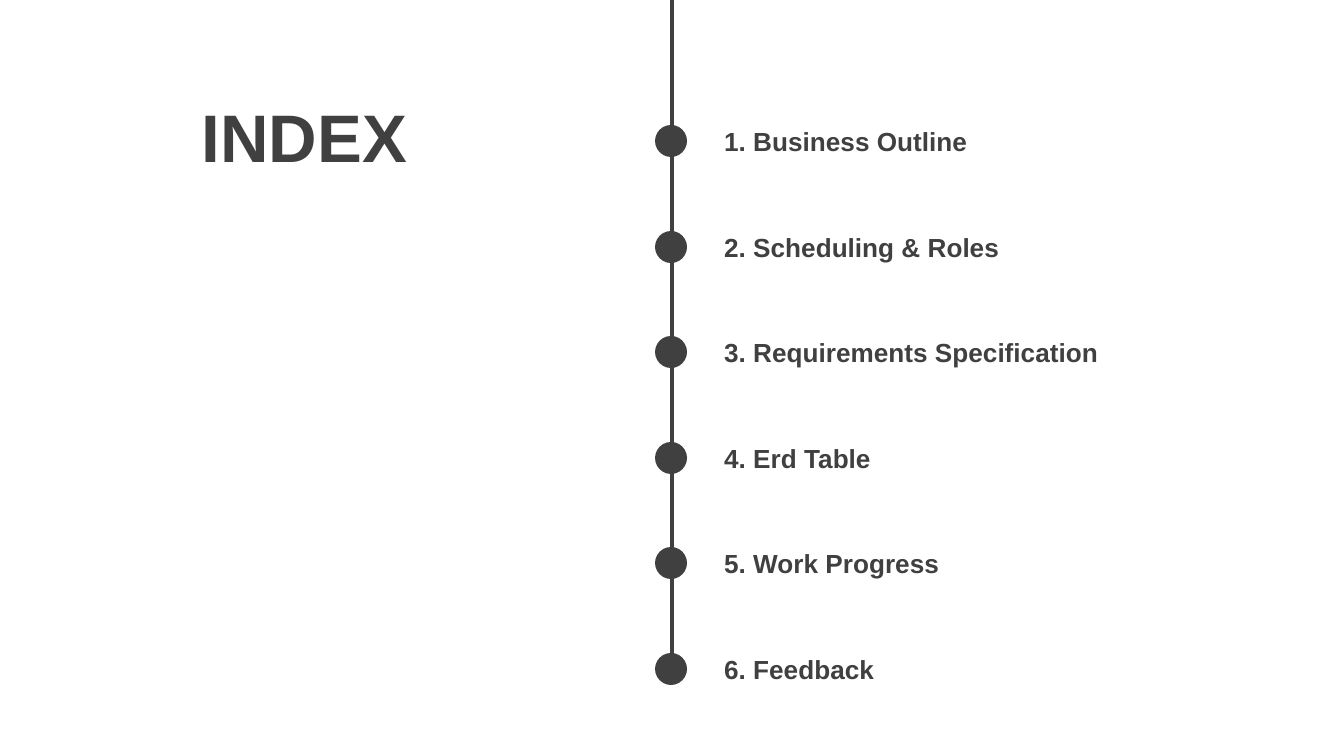
from dataclasses import dataclass

from lxml.etree import SubElement
from pptx import Presentation
from pptx.dml.color import RGBColor
from pptx.enum.shapes import MSO_CONNECTOR, MSO_SHAPE
from pptx.enum.text import MSO_ANCHOR, MSO_AUTO_SIZE, PP_ALIGN
from pptx.oxml.ns import qn
from pptx.util import Emu, Pt

SCALE = 914400 / 134.4
ITEMS = [
    "1. Business Outline",
    "2. Scheduling & Roles",
    "3. Requirements Specification",
    "4. Erd Table",
    "5. Work Progress",
    "6. Feedback",
]
FIRST, LAST = 141, 669  # centres of the first and last dots
AXIS = 672
DOT = 32


@dataclass(frozen=True)
class Theme:
    ink: RGBColor = RGBColor(0x40, 0x40, 0x40)
    paper: RGBColor = RGBColor(0xFF, 0xFF, 0xFF)
    font: str = "Arial"
    head: int = 36
    label: int = 14
    rule: int = 2


def px(num):
    return Emu(round(num * SCALE))


class Page:
    def __init__(self, slide, theme):
        self.slide = slide
        self.theme = theme
        fill = slide.background.fill
        fill.solid()
        fill.fore_color.rgb = theme.paper

    def style(self, frame, text, size):
        frame.text = text
        frame.word_wrap = True
        font = frame.paragraphs[0].runs[0].font
        font.name = self.theme.font
        font.size = Pt(size)
        font.bold = True
        font.color.rgb = self.theme.ink

    def title(self, text, x, y, w, h):
        shape = self.slide.shapes.title
        shape.left, shape.top, shape.width, shape.height = map(px, (x, y, w, h))
        frame = shape.text_frame
        self.style(frame, text, self.theme.head)
        frame.auto_size = MSO_AUTO_SIZE.NONE
        frame.vertical_anchor = MSO_ANCHOR.MIDDLE
        frame.paragraphs[0].alignment = PP_ALIGN.CENTER

    def line(self, x1, y1, x2, y2):
        line = self.slide.shapes.add_connector(
            MSO_CONNECTOR.STRAIGHT, px(x1), px(y1), px(x2), px(y2))
        line.line.color.rgb = self.theme.ink
        line.line.width = Pt(self.theme.rule)
        SubElement(line._element.spPr, qn("a:effectLst"))

    def dot(self, x, y, size):
        dot = self.slide.shapes.add_shape(
            MSO_SHAPE.FLOWCHART_CONNECTOR, px(x), px(y), px(size), px(size))
        dot.shadow.inherit = False
        dot.fill.solid()
        dot.fill.fore_color.rgb = self.theme.ink
        dot.line.fill.background()

    def label(self, text, x, y, w, h):
        box = self.slide.shapes.add_textbox(px(x), px(y), px(w), px(h))
        self.style(box.text_frame, text, self.theme.label)
        box.text_frame.auto_size = MSO_AUTO_SIZE.SHAPE_TO_FIT_TEXT


def main():
    deck = Presentation()
    deck.slide_width, deck.slide_height = px(1344), px(756)
    page = Page(deck.slides.add_slide(deck.slide_layouts[5]), Theme())

    page.title("INDEX", 0, 93, 609, 85)
    page.line(AXIS, 0, AXIS, LAST + 4)
    step = (LAST - FIRST) / (len(ITEMS) - 1)
    for i, item in enumerate(ITEMS):
        mid = round(FIRST + i * step)
        page.dot(AXIS - 1 - DOT // 2, mid - DOT // 2, DOT)
        page.label(item, 711, mid - 22, 519, 46)

    deck.save("out.pptx")


if __name__ == "__main__":
    main()
